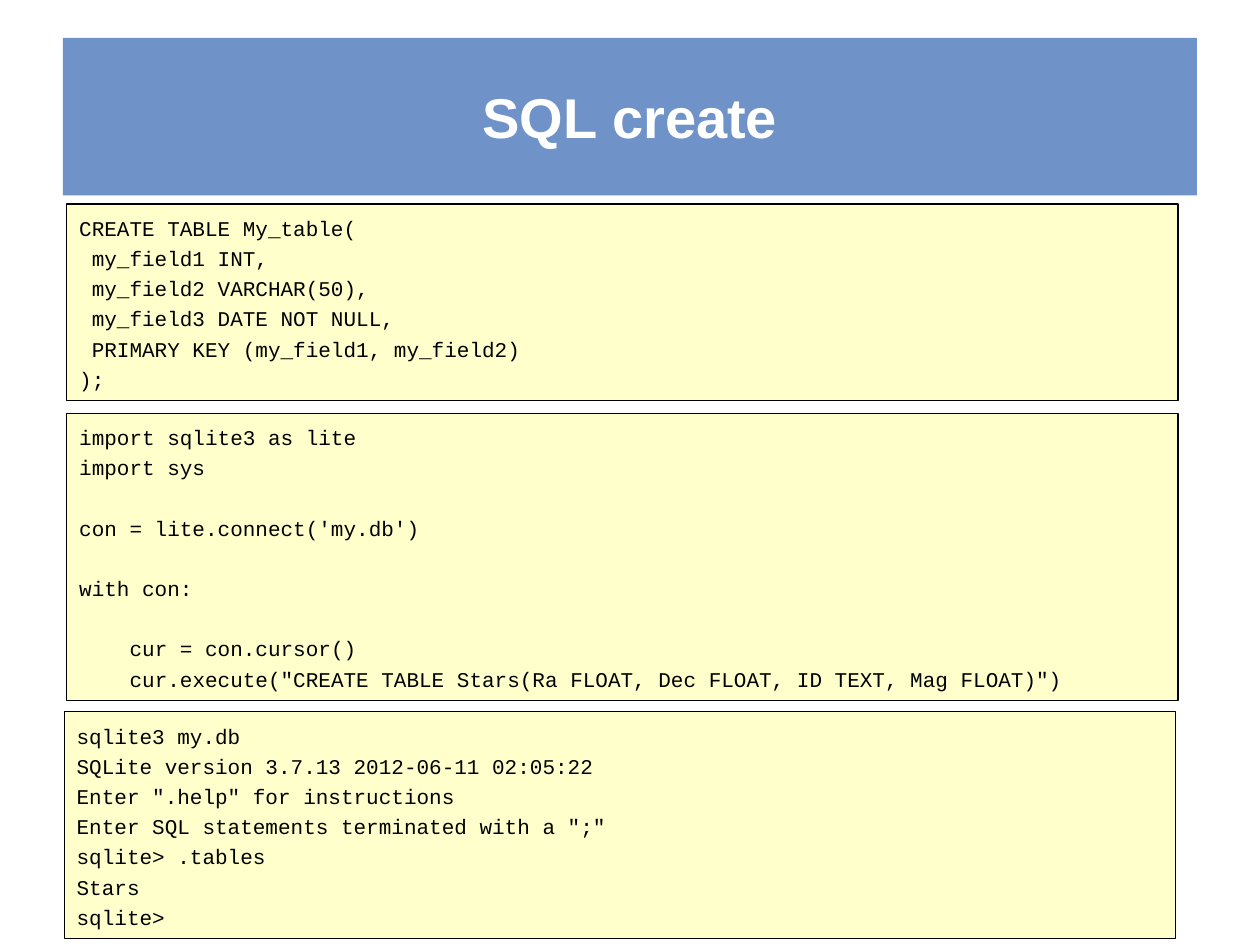
from lxml.etree import SubElement
from pptx import Presentation
from pptx.dml.color import RGBColor
from pptx.enum.shapes import MSO_SHAPE
from pptx.enum.text import MSO_ANCHOR, MSO_AUTO_SIZE, PP_ALIGN
from pptx.oxml.ns import qn
from pptx.util import Inches, Pt

CHAR = 0.1
PITCH = 17.25
TITLE = {"name": "Arial", "size": Pt(32), "bold": True}
CODE = {"name": "Courier New", "size": Pt(12), "bold": False}

CREATE = """CREATE TABLE My_table(
 my_field1 INT,
 my_field2 VARCHAR(50),
 my_field3 DATE NOT NULL,
 PRIMARY KEY (my_field1, my_field2)
);"""

PYTHON = """import sqlite3 as lite
import sys

con = lite.connect('my.db')

with con:

    cur = con.cursor()
    cur.execute("CREATE TABLE Stars(Ra FLOAT, Dec FLOAT, ID TEXT, Mag FLOAT)")"""

SHELL = """sqlite3 my.db
SQLite version 3.7.13 2012-06-11 02:05:22
Enter ".help" for instructions
Enter SQL statements terminated with a ";"
sqlite> .tables
Stars
sqlite>"""


def color(target, value):
    """Set a fill or font colour from a hex string."""
    target.rgb = RGBColor.from_string(value)


def add_box(slide, area, fill):
    """Add a filled rectangle without line or shadow."""
    box = slide.shapes.add_shape(MSO_SHAPE.RECTANGLE, *map(Inches, area))
    box.shadow.inherit = False
    box.fill.solid()
    color(box.fill.fore_color, fill)
    box.line.fill.background()
    box.text_frame.word_wrap = True
    return box


def add_text(para, text, style, ink):
    """Add one run with the given font values."""
    run = para.add_run()
    run.text = text
    for key, value in style.items():
        setattr(run.font, key, value)
    color(run.font.color, ink)


def add_title(slide, text):
    """Add the translucent title band."""
    band = add_box(slide, (0.5, 0.3, 9, 1.25), "4775B9")
    tint = band.fill._xPr.find(qn("a:solidFill"))[0]
    SubElement(tint, qn("a:alpha"), val="78000")
    band.text_frame.vertical_anchor = MSO_ANCHOR.MIDDLE
    para = band.text_frame.paragraphs[0]
    para.alignment = PP_ALIGN.CENTER
    add_text(para, text, TITLE, "FFFFFF")


def add_code(slide, left, top, height, code):
    """Add a code panel, with indents and gaps taken from the code."""
    panel = add_box(slide, (left, top, 8.82, height), "FFFFCC")
    color(panel.line.color, "000000")
    panel.line.width = Pt(0.75)
    frame = panel.text_frame
    frame.vertical_anchor = MSO_ANCHOR.TOP
    frame.auto_size = MSO_AUTO_SIZE.SHAPE_TO_FIT_TEXT
    para, gap = frame.paragraphs[0], 0
    for row, line in enumerate(code.splitlines()):
        text = line.lstrip()
        if not text:
            gap += PITCH
            continue
        if row:
            para = frame.add_paragraph()
        para.alignment = PP_ALIGN.LEFT
        para.line_spacing = 1.2
        para.space_before = Pt(gap)
        indent = Inches(CHAR * (len(line) - len(text)))
        para._p.get_or_add_pPr().set("marL", str(indent))
        add_text(para, text, CODE, "000000")
        gap = 0


def main():
    """Build the slide and save it."""
    deck = Presentation()
    deck.slide_width, deck.slide_height = Inches(10), Inches(7.5)
    slide = deck.slides.add_slide(deck.slide_layouts[6])
    add_title(slide, "SQL create")
    add_code(slide, 0.53, 1.62, 1.56, CREATE)
    add_code(slide, 0.53, 3.28, 2.28, PYTHON)
    add_code(slide, 0.51, 5.65, 1.8, SHELL)
    deck.save("out.pptx")


if __name__ == "__main__":
    main()
